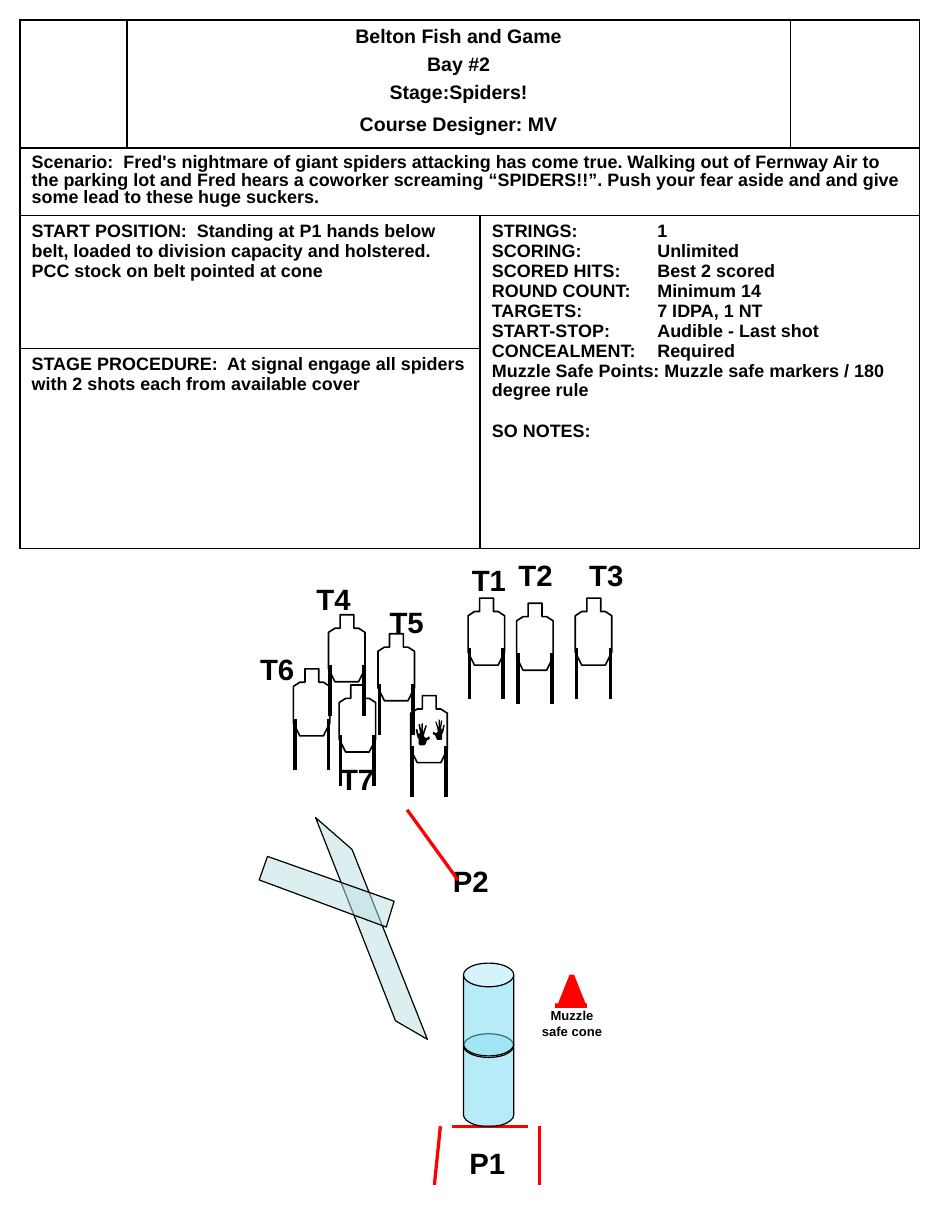
from lxml.etree import SubElement
from pptx import Presentation
from pptx.dml.color import RGBColor
from pptx.enum.shapes import MSO_CONNECTOR, MSO_SHAPE
from pptx.enum.text import PP_ALIGN
from pptx.oxml.ns import qn
from pptx.util import Cm, Pt

COLORS = {"ink": "000000", "red": "FF0000", "white": "FFFFFF",
          "wall": "BBE0E3", "barrel": "73D9F1"}
FONT = {"name": "Arial", "bold": True}


def paint(shape, fill=None, line=None, width=1, opacity=None):
    """Set fill, outline and opacity, and switch off the theme shadow."""
    if fill:
        shape.fill.solid()
        shape.fill.fore_color.rgb = RGBColor.from_string(COLORS[fill])
    elif hasattr(shape, "fill"):
        shape.fill.background()
    if line:
        shape.line.color.rgb = RGBColor.from_string(COLORS[line])
        shape.line.width = Pt(width)
    else:
        shape.line.fill.background()
    properties = shape._element.spPr
    if opacity:
        color = properties.find(qn("a:solidFill")).find(qn("a:srgbClr"))
        SubElement(color, qn("a:alpha"), val=str(opacity * 1000))
    SubElement(properties, qn("a:effectLst"))


def write(frame, lines, size, **layout):
    """Write (text, space before) lines; a tab in a line gets a tab stop."""
    for index, (text, space) in enumerate(lines):
        para = frame.add_paragraph() if index else frame.paragraphs[0]
        if "\t" in text:
            tabs = SubElement(para._p.get_or_add_pPr(), qn("a:tabLst"))
            SubElement(tabs, qn("a:tab"), pos=str(Cm(3.58)), algn="l")
        for name, value in {**layout, "space_before": Pt(space)}.items():
            setattr(para, name, value)
        span = para.add_run()
        span.text = text
        for name, value in {**FONT, "size": Pt(size)}.items():
            setattr(span.font, name, value)
        span.font.color.rgb = RGBColor.from_string(COLORS["ink"])


deck = Presentation()
deck.slide_width, deck.slide_height = Cm(20.32), Cm(26.67)
page = deck.slides.add_slide(deck.slide_layouts[6])
shapes = page.shapes

# Stage description table
columns = [2.32, 7.64, 6.71, 2.8]
rows = [2.77, 1.46, 2.89, 4.32]
table = shapes.add_table(len(rows), len(columns), Cm(0.43), Cm(0.43),
                         Cm(sum(columns)), Cm(sum(rows))).table
table.first_row = table.horz_banding = False
for column, width in zip(table.columns, columns):
    column.width = Cm(width)
for row, height in zip(table.rows, rows):
    row.height = Cm(height)
for cell in table.iter_cells():
    properties = cell._tc.get_or_add_tcPr()
    for edge in ("a:lnL", "a:lnR", "a:lnT", "a:lnB"):
        border = SubElement(properties, qn(edge), w=str(Pt(1)))
        SubElement(SubElement(border, qn("a:solidFill")), qn("a:srgbClr"),
                   val=COLORS["ink"])
    cell.fill.background()
for first, last in [((0, 1), (0, 2)), ((1, 0), (1, 3)), ((2, 0), (2, 1)),
                    ((2, 2), (3, 3)), ((3, 0), (3, 1))]:
    table.cell(*first).merge(table.cell(*last))

write(table.cell(0, 1).text_frame, [
    ("Belton Fish and Game", 0), ("Bay #2", 3.6), ("Stage:Spiders!", 3.6),
    ("Course Designer: MV", 6.3)], 12, alignment=PP_ALIGN.CENTER)
write(table.cell(1, 0).text_frame, [(
    "Scenario:  Fred's nightmare of giant spiders attacking has come true. "
    "Walking out of Fernway Air to the parking lot and Fred hears a coworker "
    "screaming “SPIDERS!!”. Push your fear aside and and give some lead to "
    "these huge suckers.", 0)], 11, line_spacing=0.9)
write(table.cell(2, 0).text_frame, [(
    "START POSITION:  Standing at P1 hands below belt, loaded to division "
    "capacity and holstered. PCC stock on belt pointed at cone", 0)], 11)
write(table.cell(2, 2).text_frame, [
    ("STRINGS:\t1", 0),
    ("SCORING:\tUnlimited", 0),
    ("SCORED HITS:\tBest 2 scored", 0),
    ("ROUND COUNT:\tMinimum 14", 0),
    ("TARGETS:\t7 IDPA, 1 NT", 0),
    ("START-STOP:\tAudible - Last shot", 0),
    ("CONCEALMENT:\tRequired", 0),
    ("Muzzle Safe Points: Muzzle safe markers / 180 degree rule", 0),
    ("SO NOTES:", 12.4)], 11)
write(table.cell(3, 0).text_frame, [(
    "STAGE PROCEDURE:  At signal engage all spiders with 2 shots each from "
    "available cover", 0)], 11)

# Labels
labels = {"T1": (9.96, 12.04), "T2": (10.97, 11.94), "T3": (12.5, 11.94),
          "T4": (6.6, 12.45), "T5": (8.18, 12.95), "T6": (5.38, 13.97),
          "T7": (7.11, 16.36), "P1": (9.91, 24.66), "P2": (9.55, 18.57)}
for text, (left, top) in labels.items():
    box = shapes.add_textbox(Cm(left), Cm(top), Cm(1.47), Cm(1.02))
    box.text_frame.word_wrap = True
    write(box.text_frame, [(text, 0)], 18)

# Muzzle safe cone: triangle, flattened tip, base
for kind, fill, bounds in [
        (MSO_SHAPE.ISOSCELES_TRIANGLE, "red", (12.07, 20.98, 0.61, 0.76)),
        (MSO_SHAPE.RECTANGLE, "white", (12.22, 20.98, 0.3, 0.12)),
        (MSO_SHAPE.RECTANGLE, "red", (12.01, 21.72, 0.69, 0.1))]:
    paint(shapes.add_shape(kind, *map(Cm, bounds)), fill)
box = shapes.add_textbox(Cm(11.43), Cm(21.69), Cm(1.9), Cm(0.91))
box.text_frame.word_wrap = True
write(box.text_frame, [("Muzzle safe cone", 0)], 8, alignment=PP_ALIGN.CENTER)

# Fault lines
for ends in [(11.68, 25.65, 11.68, 24.38), (9.53, 24.38, 9.4, 25.65),
             (11.43, 24.38, 9.78, 24.38), (8.81, 17.53, 9.91, 19.05)]:
    fault_line = shapes.add_connector(MSO_CONNECTOR.STRAIGHT, *map(Cm, ends))
    paint(fault_line, line="red", width=2)

# Walls
for corners in [[(7.62, 18.39), (6.83, 17.7), (8.56, 22.1), (9.25, 22.5)],
                [(5.79, 18.54), (8.53, 19.51), (8.36, 20.07), (5.61, 19.05)]]:
    points = [(Cm(x), Cm(y)) for x, y in corners]
    builder = shapes.build_freeform(*points[0])
    builder.add_line_segments(points[1:])
    paint(builder.convert_to_shape(), "wall", "ink", 0.75, opacity=51)

# Stacked barrels
for top in (22.38, 20.85):
    barrel = shapes.add_shape(MSO_SHAPE.CAN, Cm(10.03), Cm(top), Cm(1.09), Cm(2.01))
    barrel.adjustments[0] = 0.47
    paint(barrel, "barrel", "ink", 0.75, opacity=51)

# Targets: two legs and a silhouette each
silhouette = [(0.25, 0), (0.55, 0), (0.55, 0.29), (0.65, 0.29), (0.79, 0.38),
              (0.79, 1.17), (0.65, 1.45), (0.14, 1.45), (0, 1.17), (0, 0.38),
              (0.14, 0.29), (0.25, 0.29)]
targets = [(10.13, 12.95), (11.18, 13.06), (12.45, 12.95), (8.89, 15.06),
           (7.34, 14.83), (6.35, 14.48), (7.11, 13.31), (8.18, 13.72)]
for left, top in targets:
    parts = shapes.add_group_shape().shapes
    for offset in (0.03, 0.76):
        x = Cm(left + offset)
        leg = parts.add_connector(MSO_CONNECTOR.STRAIGHT,
                                  x, Cm(top + 1.08), x, Cm(top + 2.19))
        paint(leg, line="ink", width=2.25)
    points = [(Cm(left + x), Cm(top + y)) for x, y in silhouette]
    builder = parts.build_freeform(*points[0])
    builder.add_line_segments(points[1:])
    paint(builder.convert_to_shape(), line="ink")

# Hands of the non-threat target, the second one mirrored
hand = [(3, 17), (4, 18), (7, 18), (8, 17), (8, 13), (9, 11), (10, 6), (10, 5),
        (9, 5), (8, 9), (7, 8), (8, 2), (8, 1), (7, 1), (6, 7), (6, 8), (6, 1),
        (5, 0), (5, 7), (5, 8), (3, 2), (2, 2), (4, 9), (4, 11), (3, 12),
        (2, 12), (1, 11), (0, 11), (0, 13), (2, 14)]
for left, top, x_scale, y_scale in [(9.37, 15.57, 0.025, 0.025),
                                    (9.3, 15.65, -0.03, 0.027)]:
    points = [(Cm(left + x * x_scale), Cm(top + y * y_scale)) for x, y in hand]
    builder = shapes.build_freeform(*points[0])
    builder.add_line_segments(points[1:])
    paint(builder.convert_to_shape(), "ink")

deck.save("out.pptx")
